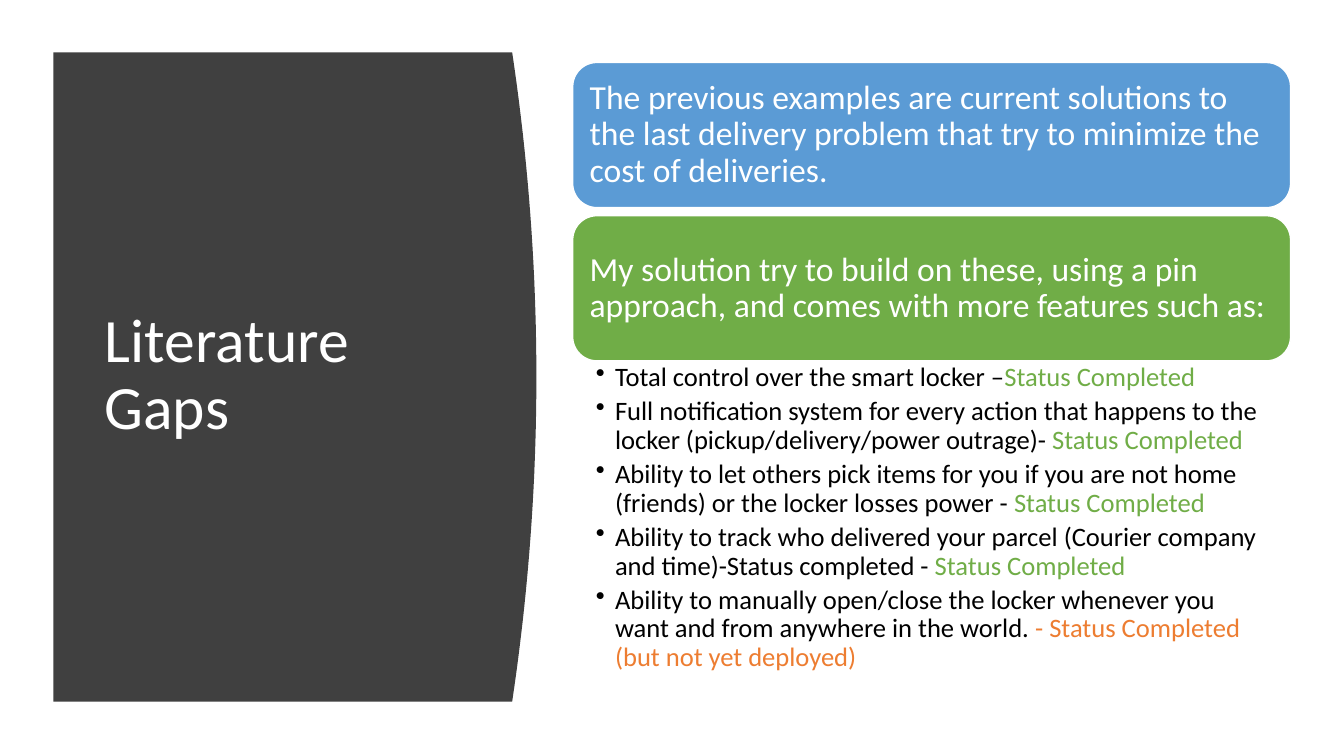
from lxml import etree
from pptx import Presentation
from pptx import util as u
from pptx.dml.color import RGBColor
from pptx.enum import shapes, text
from pptx.oxml.ns import qn

FONT = "Calibri"
WHITE, BLACK, CHARCOAL = "FFFFFF", "000000", "404040"
BLUE, GREEN, ORANGE = "5B9BD5", "70AD47", "ED7D31"
DONE = "Status Completed"

STATEMENTS = [
    ("The previous examples are current solutions to the last delivery problem "
     "that try to minimize the cost of deliveries.", BLUE),
    ("My solution try to build on these, using a pin approach, and comes with "
     "more features such as:", GREEN),
]
FEATURES = [
    ("Total control over the smart locker –", DONE, GREEN),
    ("Full notification system for every action that happens to the locker "
     "(pickup/delivery/power outrage)- ", DONE, GREEN),
    ("Ability to let others pick items for you if you are not home (friends) "
     "or the locker losses power - ", DONE, GREEN),
    ("Ability to track who delivered your parcel (Courier company and time)"
     "-Status completed - ", DONE, GREEN),
    ("Ability to manually open/close the locker whenever you want and from "
     "anywhere in the world. ", "- Status Completed (but not yet deployed)", ORANGE),
]


def color(hex_string):
    return RGBColor.from_string(hex_string)


def set_frame(frame, anchor, left, top, right, bottom):
    frame.word_wrap = True
    frame.vertical_anchor = anchor
    frame.margin_left, frame.margin_top = u.Inches(left), u.Inches(top)
    frame.margin_right, frame.margin_bottom = u.Inches(right), u.Inches(bottom)


def style_paragraph(paragraph, size, hex_string):
    paragraph.alignment = text.PP_ALIGN.LEFT
    paragraph.line_spacing = 0.9
    paragraph.font.name = FONT
    paragraph.font.size = u.Pt(size)
    paragraph.font.color.rgb = color(hex_string)


def add_title_panel(slide, left, top, width, height):
    # Panel whose right edge bulges along a parabola
    bulge, steps = 0.24, 40
    edge = []
    for step in range(steps + 1):
        offset = 2 * step / steps - 1
        edge.append((u.Inches(left + width - bulge * offset ** 2),
                     u.Inches(top + height * step / steps)))
    builder = slide.shapes.build_freeform(u.Inches(left), u.Inches(top))
    builder.add_line_segments(edge + [(u.Inches(left), u.Inches(top + height))])
    panel = builder.convert_to_shape()
    panel.shadow.inherit = False
    panel.fill.solid()
    panel.fill.fore_color.rgb = color(CHARCOAL)
    panel.line.fill.background()

    # Title
    title = slide.shapes.add_textbox(u.Inches(left + 0.41), u.Inches(top + 0.59),
                                     u.Inches(3.74), u.Inches(height - 1.2))
    set_frame(title.text_frame, text.MSO_ANCHOR.MIDDLE, 0.1, 0.05, 0.1, 0.05)
    paragraph = title.text_frame.paragraphs[0]
    paragraph.text = "Literature Gaps"
    style_paragraph(paragraph, 44, WHITE)


def add_statement(slide, left, top, width, height, wording, fill):
    card = slide.shapes.add_shape(shapes.MSO_SHAPE.ROUNDED_RECTANGLE, u.Inches(left),
                                  u.Inches(top), u.Inches(width), u.Inches(height))
    card.shadow.inherit = False
    card.fill.solid()
    card.fill.fore_color.rgb = color(fill)
    card.line.color.rgb = color(WHITE)
    card.line.width = u.Pt(1)
    set_frame(card.text_frame, text.MSO_ANCHOR.MIDDLE, 0.1, 0.1, 0.1, 0.1)
    paragraph = card.text_frame.paragraphs[0]
    paragraph.text = wording
    style_paragraph(paragraph, 24, WHITE)


def add_bullet(paragraph, indent):
    properties = paragraph._p.get_or_add_pPr()
    properties.set("marL", str(u.Inches(indent)))
    properties.set("indent", str(-u.Inches(indent)))
    etree.SubElement(properties, qn("a:buChar"), char="•")


def add_features(slide, left, top, width, height):
    box = slide.shapes.add_textbox(u.Inches(left), u.Inches(top),
                                   u.Inches(width), u.Inches(height))
    frame = box.text_frame
    set_frame(frame, text.MSO_ANCHOR.TOP, 0.23, 0.03, 0.19, 0.03)
    for index, (feature, status, status_color) in enumerate(FEATURES):
        paragraph = frame.add_paragraph() if index else frame.paragraphs[0]
        add_bullet(paragraph, 0.19)
        style_paragraph(paragraph, 19, BLACK)
        paragraph.space_after = u.Pt(3.8)
        paragraph.add_run().text = feature
        run = paragraph.add_run()
        run.text = status
        run.font.color.rgb = color(status_color)


def add_solution_column(slide, left, top, width, height):
    # Statement cards, then the feature list below them
    card_height, pitch = 1.44, 1.52
    for index, (wording, fill) in enumerate(STATEMENTS):
        add_statement(slide, left, top + index * pitch, width, card_height, wording, fill)
    list_offset = pitch + card_height
    add_features(slide, left, top + list_offset, width, height - list_offset)


def main():
    presentation = Presentation()
    presentation.slide_width = u.Inches(13.33)
    presentation.slide_height = u.Inches(7.5)
    slide = presentation.slides.add_slide(presentation.slide_layouts[6])
    add_title_panel(slide, 0.53, 0.52, 4.79, 6.44)
    add_solution_column(slide, 5.68, 0.62, 7.12, 6.22)
    presentation.save("out.pptx")


if __name__ == "__main__":
    main()
